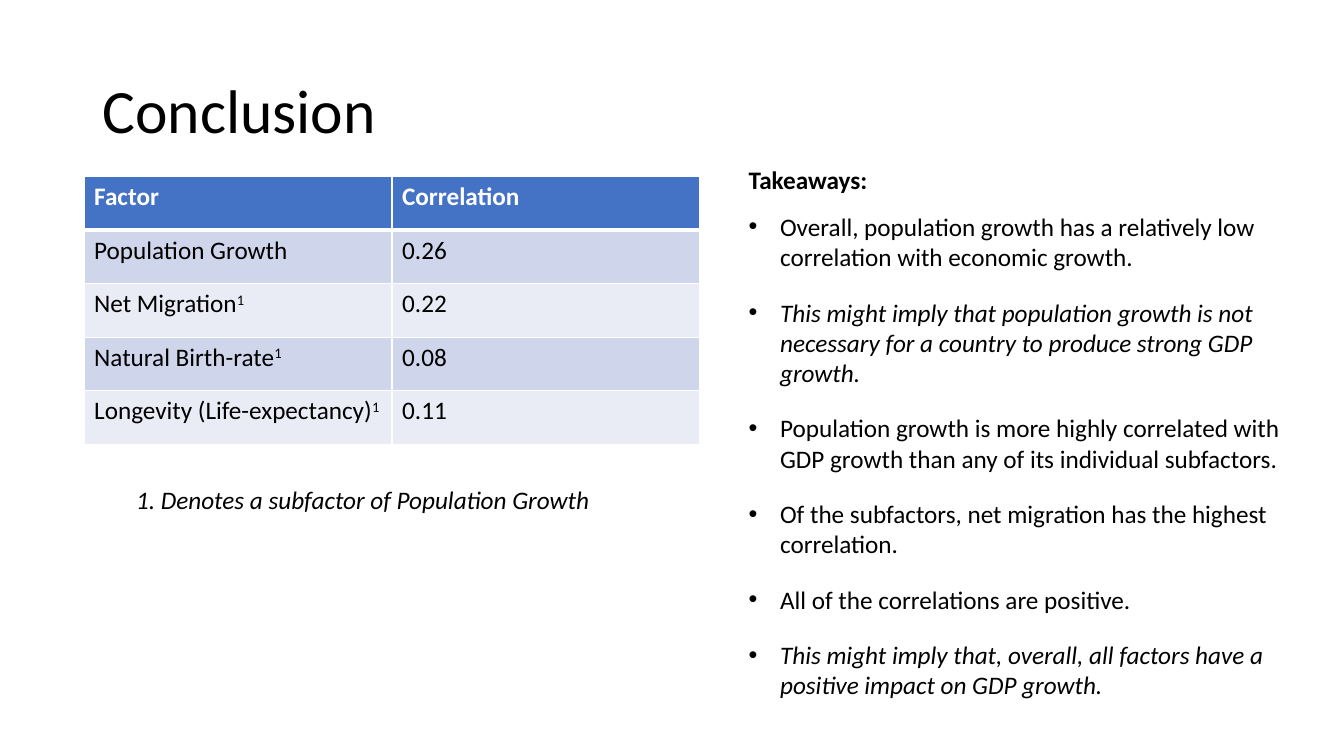
import pptx
import pptx.dml.color
import pptx.enum.text
import pptx.oxml
import pptx.oxml.ns
import pptx.util
from pptx.util import Cm

TITLE = "Conclusion"
FACTORS = [
    ("Factor", "", "Correlation"),
    ("Population Growth", "", "0.26"),
    ("Net Migration", "1", "0.22"),
    ("Natural Birth-rate", "1", "0.08"),
    ("Longevity (Life-expectancy)", "1", "0.11"),
]
FOOTNOTE = "1. Denotes a subfactor of Population Growth"
TAKEAWAYS_HEADING = "Takeaways:"
TAKEAWAYS = [
    ("Overall, population growth has a relatively low correlation with economic growth.", False),
    ("This might imply that population growth is not necessary for a country to produce strong GDP growth.", True),
    ("Population growth is more highly correlated with GDP growth than any of its individual subfactors.", False),
    ("Of the subfactors, net migration has the highest correlation.", False),
    ("All of the correlations are positive.", False),
    ("This might imply that, overall, all factors have a positive impact on GDP growth.", True),
]

FONT = "Calibri"
BLACK, WHITE = "000000", "FFFFFF"
HEADER_FILL = "4472C4"
BAND_FILLS = ("E9EBF5", "CFD5EA")
COLUMN_WIDTH, ROW_HEIGHT = Cm(7.76), Cm(1.35)
BULLET_INDENT = Cm(0.79)


def color(value):
    return pptx.dml.color.RGBColor.from_string(value)


def add_text(para, text, size=18, fill=BLACK, bold=False, italic=False, superscript=False):
    span = para.add_run()
    span.text = text
    span.font.name = FONT
    span.font.size = pptx.util.Pt(size)
    span.font.color.rgb = color(fill)
    span.font.bold = bold
    span.font.italic = italic
    if superscript:
        span.font._element.set("baseline", "30000")


def add_box(page, left, top, width, height):
    frame = page.shapes.add_textbox(left, top, width, height).text_frame
    frame.word_wrap = True
    return frame


def set_spacing(para, before, after):
    para.space_before = pptx.util.Pt(before)
    para.space_after = pptx.util.Pt(after)


def add_bullet(para):
    properties = para._p.get_or_add_pPr()
    properties.set("marL", str(BULLET_INDENT))
    properties.set("indent", str(-BULLET_INDENT))
    namespace = pptx.oxml.ns.nsdecls("a")
    properties.append(pptx.oxml.parse_xml(f'<a:buFont {namespace} typeface="Arial"/>'))
    properties.append(pptx.oxml.parse_xml(f'<a:buChar {namespace} char="•"/>'))


def set_borders(cell, bottom):
    properties = cell._tc.get_or_add_tcPr()
    for side, points in (("L", 1), ("R", 1), ("T", 1), ("B", bottom)):
        properties.append(pptx.oxml.parse_xml(
            f'<a:ln{side} {pptx.oxml.ns.nsdecls("a")} w="{pptx.util.Pt(points)}">'
            f'<a:solidFill><a:srgbClr val="{WHITE}"/></a:solidFill></a:ln{side}>'))


def add_title(page):
    title = page.shapes.title
    title.left, title.top, title.width, title.height = Cm(2.33), Cm(1.01), Cm(29.21), Cm(3.68)
    title.text_frame.vertical_anchor = pptx.enum.text.MSO_ANCHOR.MIDDLE
    para = title.text_frame.paragraphs[0]
    para.alignment = pptx.enum.text.PP_ALIGN.LEFT
    para.line_spacing = 0.9
    add_text(para, TITLE, size=44)


def add_factor_table(page):
    table = page.shapes.add_table(len(FACTORS), 2, Cm(2.12), Cm(4.45),
                                  2 * COLUMN_WIDTH, len(FACTORS) * ROW_HEIGHT).table
    for column in table.columns:
        column.width = COLUMN_WIDTH
    for index, (factor, mark, value) in enumerate(FACTORS):
        header = index == 0
        table.rows[index].height = ROW_HEIGHT
        for cell, text, note in zip(table.rows[index].cells, (factor, value), (mark, "")):
            set_borders(cell, bottom=3 if header else 1)
            cell.fill.solid()
            cell.fill.fore_color.rgb = color(HEADER_FILL if header else BAND_FILLS[index % 2])
            para = cell.text_frame.paragraphs[0]
            add_text(para, text, fill=WHITE if header else BLACK, bold=header)
            if note:
                add_text(para, note, superscript=True)


def add_takeaways(page):
    frame = add_box(page, Cm(18.62), Cm(4.01), Cm(14.18), Cm(13.89))
    heading = frame.paragraphs[0]
    set_spacing(heading, 6, 6)
    add_text(heading, TAKEAWAYS_HEADING, bold=True)
    for text, italic in TAKEAWAYS:
        para = frame.add_paragraph()
        set_spacing(para, 6, 12)
        add_bullet(para)
        add_text(para, text, italic=italic)


def main():
    deck = pptx.Presentation()
    deck.slide_width, deck.slide_height = Cm(33.87), Cm(19.05)
    page = deck.slides.add_slide(deck.slide_layouts[5])
    add_title(page)
    add_factor_table(page)
    add_takeaways(page)
    footnote = add_box(page, Cm(3.18), Cm(12.07), Cm(14.45), Cm(1.03))
    add_text(footnote.paragraphs[0], FOOTNOTE, italic=True)
    deck.save("out.pptx")


if __name__ == "__main__":
    main()
